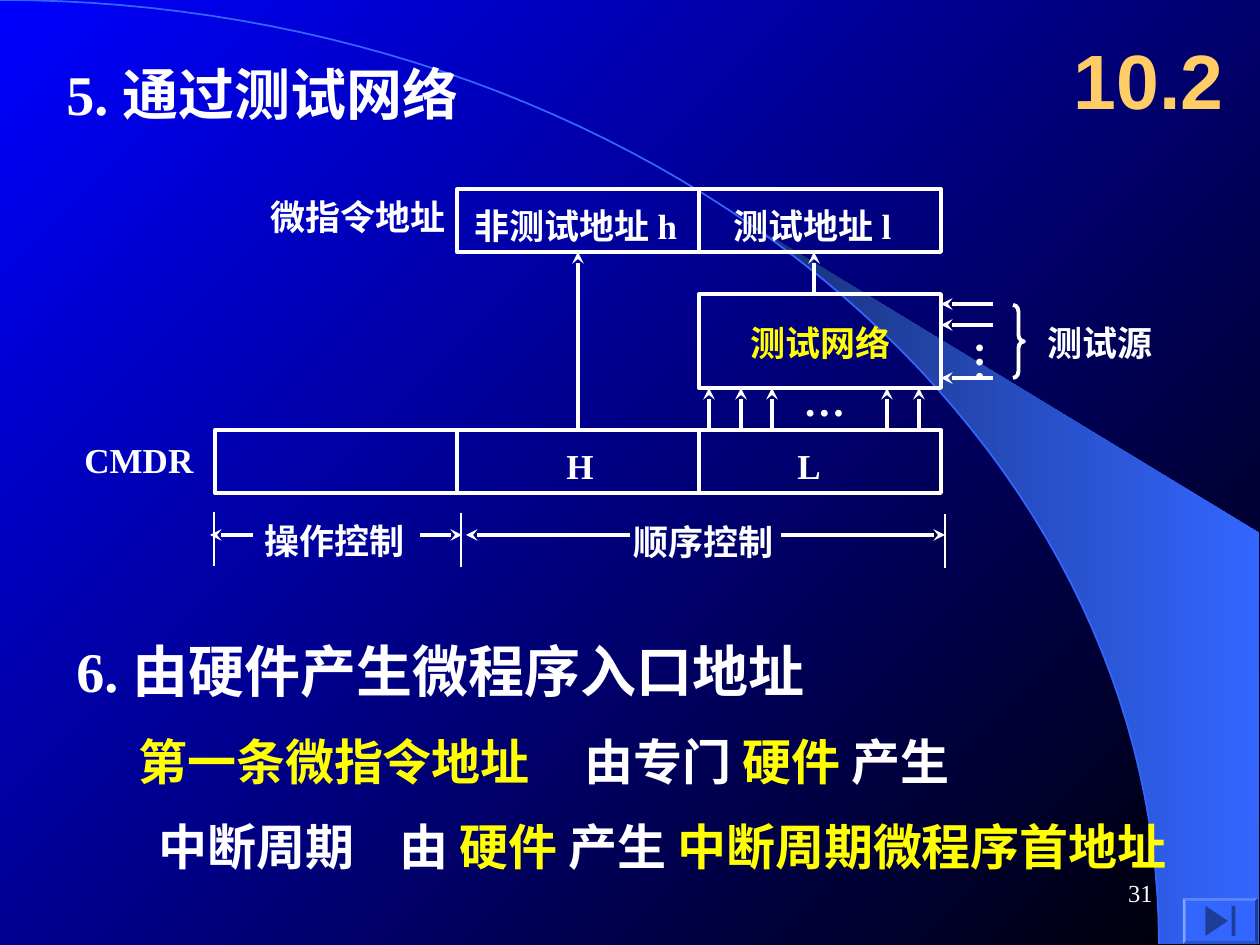
from math import cos, radians, sin

from lxml.etree import SubElement
from pptx import Presentation
from pptx.dml.color import RGBColor
from pptx.enum.shapes import MSO_CONNECTOR, MSO_SHAPE
from pptx.enum.text import MSO_ANCHOR, MSO_AUTO_SIZE, PP_ALIGN
from pptx.oxml.ns import qn
from pptx.util import Pt

PX = 914400 / 126
WHITE, YELLOW, BLUE = "FFFFFF", "FFFF00", "3366FF"
SERIF, SANS = "Times New Roman", "DejaVu Sans"
ARC_RX, ARC_RY = 1159, 944
COL_X, COL_W, ROW_H = 215, 242, 63
ADDRESS_Y, NETWORK_Y, NETWORK_H, CMDR_Y = 189, 294, 94, 430


def px(n):
    return round(n * PX)


def rgb(value):
    return RGBColor.from_string(value)


def gradient(fill, start, end, angle):
    fill.gradient()
    fill.gradient_angle = angle
    for stop, color in zip(fill.gradient_stops, (start, end)):
        stop.color.rgb = rgb(color)


def outline(sp, color=WHITE, width=2.25):
    sp.shadow.inherit = False
    sp.fill.background()
    sp.line.color.rgb = rgb(color)
    sp.line.width = Pt(width)


def write(p, runs, size, bold=True):
    """Add runs given as (text, color, font)."""
    for text, color, font in runs:
        r = p.add_run()
        r.text = text
        r.font.name = font
        r.font.size = Pt(size)
        r.font.bold = bold
        r.font.color.rgb = rgb(color)


def add_text(s, box, runs, size, tab=None, wrap=False, bold=True):
    sp = s.shapes.add_textbox(*map(px, box))
    tf = sp.text_frame
    tf.word_wrap = wrap
    if not wrap:
        tf.auto_size = MSO_AUTO_SIZE.SHAPE_TO_FIT_TEXT
    p = tf.paragraphs[0]
    if tab:
        tabs = SubElement(p._p.get_or_add_pPr(), qn("a:tabLst"))
        SubElement(tabs, qn("a:tab"), pos=str(px(tab)), algn="l")
    write(p, runs, size, bold)
    return sp


def add_label(s, x, y, w, text, color=WHITE, size=20):
    return add_text(s, (x, y, w, 55), [(text, color, SERIF)], size)


def add_box(s, x, y, w, h):
    outline(s.shapes.add_shape(MSO_SHAPE.RECTANGLE, *map(px, (x, y, w, h))))


def add_line(s, x1, y1, x2, y2, width=2.25, arrow=True):
    c = s.shapes.add_connector(MSO_CONNECTOR.STRAIGHT, *map(px, (x1, y1, x2, y2)))
    c.line.color.rgb = rgb(WHITE)
    c.line.width = Pt(width)
    if arrow:
        SubElement(c.line._get_or_add_ln(), qn("a:tailEnd"), type="stealth")
    SubElement(c._element.spPr, qn("a:effectLst"))


def arc_points(start, end, steps=60):
    """Points on the large background ellipse, angles measured from its top."""
    angles = [radians(start + (end - start) * i / steps) for i in range(steps + 1)]
    return [(px(ARC_RX * sin(a)), px(ARC_RY * (1 - cos(a)))) for a in angles]


def add_outline_shape(s, points, close):
    builder = s.shapes.build_freeform(*points[0])
    builder.add_line_segments(points[1:], close=close)
    return builder.convert_to_shape()


def add_backdrop(s):
    gradient(s.background.fill, "0000FF", "000000", 315)
    corner = [(px(1259), px(944)), (px(1259), px(533))]
    beam = add_outline_shape(s, arc_points(39.8, 90) + corner, True)
    beam.shadow.inherit = False
    gradient(beam.fill, "182F76", BLUE, 0)
    beam.line.fill.background()
    outline(add_outline_shape(s, arc_points(0, 90), False), BLUE, 1)


def add_title(s):
    title = s.shapes.title
    title.left, title.top, title.width, title.height = map(px, (1061, 21, 199, 116))
    tf = title.text_frame
    tf.vertical_anchor = MSO_ANCHOR.MIDDLE
    p = tf.paragraphs[0]
    p.alignment = PP_ALIGN.LEFT
    write(p, [("10.2", "FFCC66", "Arial")], 44)


def add_statements(s):
    add_text(s, (54, 53, 1002, 81),
             [("5. ", WHITE, SERIF), ("通过测试网络", WHITE, SANS)], 32, wrap=True)
    add_text(s, (64, 630, 881, 81),
             [("6. 由硬件产生", WHITE, SERIF), ("微程序入口地址", WHITE, SANS)], 32, wrap=True)
    add_text(s, (126, 725, 1071, 72),
             [("第一条微指令地址", YELLOW, SANS), ("\t由专门 ", WHITE, SANS),
              ("硬件 ", YELLOW, SANS), ("产生", WHITE, SANS)], 28, tab=446, wrap=True)
    add_text(s, (146, 810, 1060, 72),
             [("中断周期\t由 ", WHITE, SANS), ("硬件 ", YELLOW, SANS),
              ("产生 ", WHITE, SANS), ("中断周期微程序首地址", YELLOW, SANS)],
             28, tab=241, wrap=True)


def add_diagram(s):
    columns = [COL_X + COL_W * i for i in range(3)]
    right = COL_X + COL_W * 3
    network_bottom = NETWORK_Y + NETWORK_H
    for x in columns[1:]:
        add_box(s, x, ADDRESS_Y, COL_W, ROW_H)
    for x in columns:
        add_box(s, x, CMDR_Y, COL_W, ROW_H)
    add_box(s, columns[2], NETWORK_Y, COL_W, NETWORK_H)

    for x in (709, 741, 772, 887, 919):
        add_line(s, x, CMDR_Y, x, network_bottom)
    for y in (304, 325, 378):
        add_line(s, 993, y, right, y)
    add_line(s, 578, CMDR_Y, 578, ADDRESS_Y + ROW_H)
    add_line(s, 814, NETWORK_Y, 814, ADDRESS_Y + ROW_H)

    brace = s.shapes.add_shape(MSO_SHAPE.RIGHT_BRACE, *map(px, (1013, 305, 11, 73)))
    brace.adjustments[0] = 0.6
    outline(brace)

    for x, y in ((214, 512), (461, 513), (945, 514)):
        add_line(s, x, y, x, y + 54, 1.5, arrow=False)
    for start, end in ((253, 210), (420, 462), (630, 466), (781, 945)):
        add_line(s, start, 535, end, 535)

    for x, y, w, text in ((462, 198, 236, "非测试地址 h"), (721, 198, 192, "测试地址 l"),
                          (258, 189, 201, "微指令地址"), (72, 432, 134, "CMDR"),
                          (554, 438, 52, "H"), (785, 438, 48, "L"),
                          (1035, 315, 130, "测试源"), (252, 513, 166, "操作控制"),
                          (621, 514, 166, "顺序控制")):
        add_label(s, x, y, w, text)
    add_label(s, 738, 315, 166, "测试网络", YELLOW)
    add_label(s, 791, 368, 67, "…", size=24)
    dots = add_text(s, (949, 329, 76, 55), [("…", WHITE, SERIF)], 24)
    tf = dots.text_frame
    tf._txBody.bodyPr.set("vert", "eaVert")
    tf.margin_left = tf.margin_right = px(6)
    tf.margin_top = tf.margin_bottom = px(13)


def add_button_part(s, kind, box):
    sp = s.shapes.add_shape(kind, *map(px, box))
    sp.shadow.inherit = False
    sp.fill.solid()
    sp.fill.fore_color.rgb = rgb(BLUE)
    sp.line.fill.background()
    return sp


def add_footer(s):
    frame = add_button_part(s, MSO_SHAPE.BEVEL, (1183, 898, 75, 46))
    frame.adjustments[0] = 0.06
    add_button_part(s, MSO_SHAPE.ACTION_BUTTON_END, (1186, 901, 69, 40))
    number = add_text(s, (903, 861, 262, 63), [("31", WHITE, SERIF)], 14,
                      wrap=True, bold=False)
    number.text_frame.vertical_anchor = MSO_ANCHOR.MIDDLE
    number.text_frame.paragraphs[0].alignment = PP_ALIGN.RIGHT


def main():
    prs = Presentation()
    prs.slide_width, prs.slide_height = px(1260), px(945)
    s = prs.slides.add_slide(prs.slide_layouts[5])
    add_backdrop(s)
    add_statements(s)
    add_diagram(s)
    add_title(s)
    add_footer(s)
    prs.save("out.pptx")


if __name__ == "__main__":
    main()
